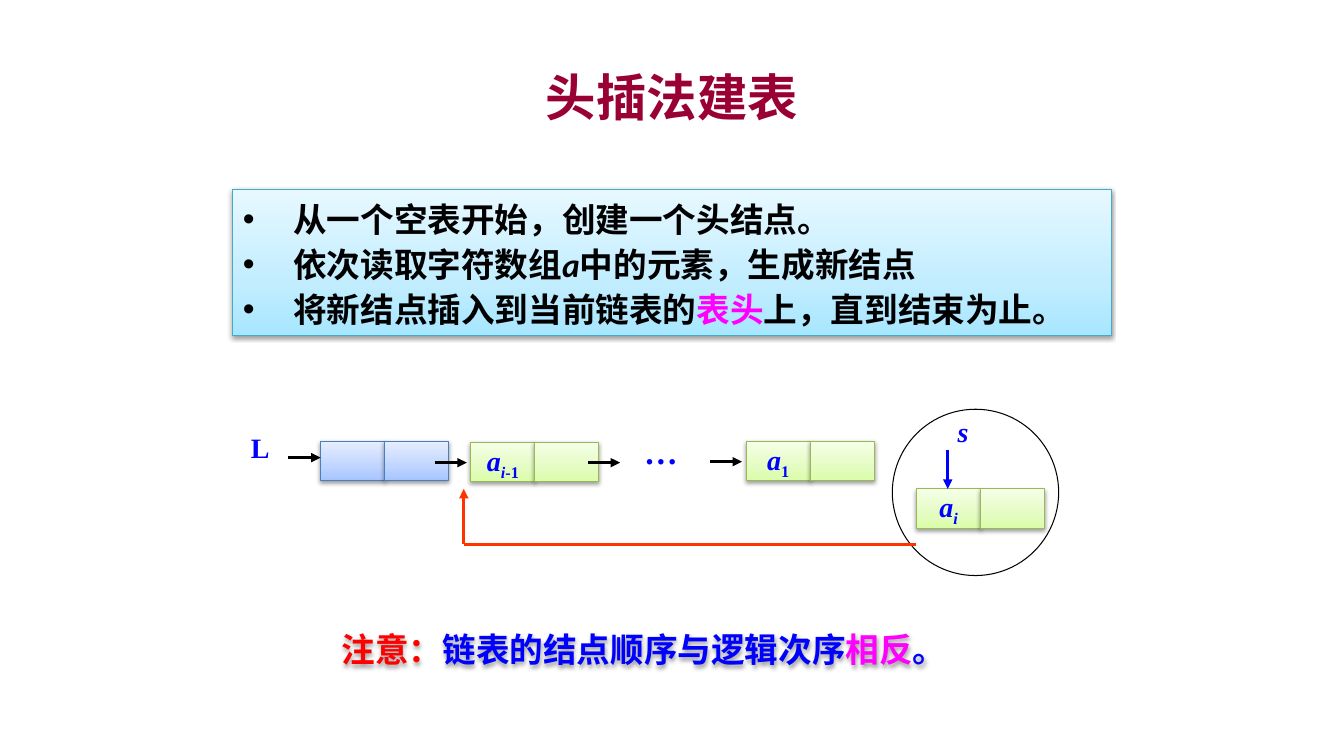
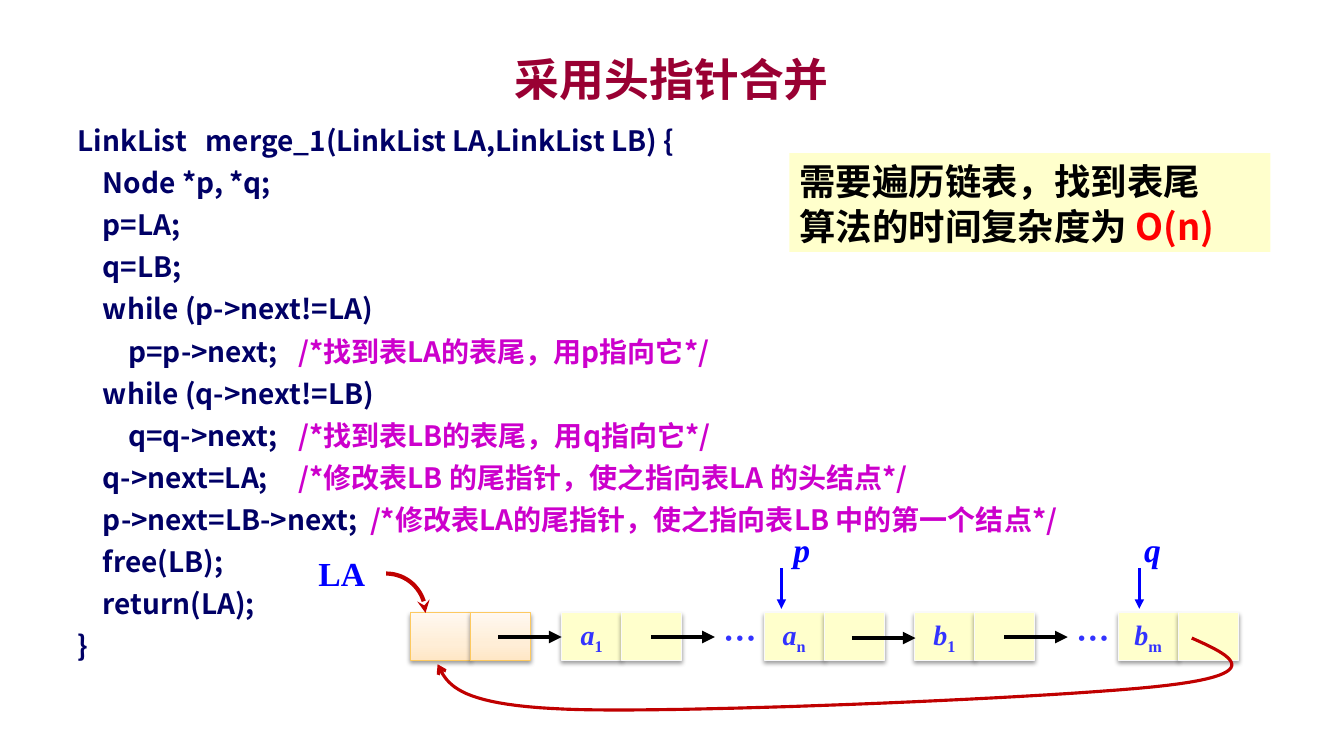
"""Two slides on linked lists: head insertion and merging by head pointers."""
from copy import deepcopy

from lxml.etree import SubElement
from pptx import Presentation
from pptx.dml.color import RGBColor
from pptx.enum.shapes import MSO_CONNECTOR, MSO_SHAPE
from pptx.enum.text import MSO_ANCHOR, MSO_AUTO_SIZE, PP_ALIGN
from pptx.oxml.ns import qn
from pptx.util import Inches, Pt

CJK, SERIF, SANS = "Noto Sans CJK SC", "Times New Roman", "Calibri"
COLORS = {
    "title": "990033", "black": "000000", "blue": "0000FF", "label": "3333FF",
    "pink": "FF00FF", "red": "FF0000", "code": "000066", "comment": "CC00CC",
    "insert": "FF3300", "curve": "C00000", "cream": "FFFFCC", "edge": "F9F9F9",
}
GRADIENTS = {
    "aqua": ("A7E6FF", "C1EDFF", "E7F8FF", "46AAC5"),
    "blue": ("A4C4FF", "BFD4FF", "E6EEFF", "4B7EBC"),
    "green": ("DAFDA7", "E4FCC2", "F5FFE7", "98B955"),
    "orange": ("FFE7C6", "FFEED7", "FFF8F0", "FDC960"),
}
SUB, ITALIC = {"sub": True, "italic": False}, {"italic": True}

STEPS = [
    [("从一个空表开始，创建一个头结点。", {})],
    [("依次读取字符数组", {}), ("a", ITALIC), ("中的元素，生成新结点", {})],
    [("将新结点插入到当前链表的", {}), ("表头", {"color": "pink"}), ("上，直到结束为止。", {})],
]
NOTE = [[("注意：", {"color": "red"}), ("链表的结点顺序与逻辑次序", {}),
         ("相反", {"color": "pink"}), ("。", {})]]
INSERT_NODES = [
    (3.18, 4.38, "blue", []),
    (4.67, 4.39, "green", [("a", {}), ("i", {"sub": True}), ("-1", SUB)]),
    (7.4, 4.38, "green", [("a", {}), ("1", SUB)]),
    (9.09, 4.85, "green", [("a", {}), ("i", {"sub": True})]),
]
INSERT_ARROWS = [(2.86, 4.54), (4.31, 4.59), (5.83, 4.59), (7.04, 4.58)]

CODE = [
    ("LinkList   merge_1(LinkList LA,LinkList LB) {", ""),
    ("    Node *p, *q;", ""),
    ("    p=LA;", ""),
    ("    q=LB;", ""),
    ("    while (p->next!=LA)", ""),
    ("        p=p->next;\t   ", "/*找到表LA的表尾，用p指向它*/"),
    ("    while (q->next!=LB)", ""),
    ("        q=q->next;\t   ", "/*找到表LB的表尾，用q指向它*/"),
    ("    q->next=LA;\t   ", "/*修改表LB 的尾指针，使之指向表LA 的头结点*/"),
    ("    p->next=LB->next;  ", "/*修改表LA的尾指针，使之指向表LB 中的第一个结点*/"),
    ("    free(LB);", ""),
    ("    return(LA);", ""),
    ("}", ""),
]
COST = [[("需要遍历链表，找到表尾", {})],
        [("算法的时间复杂度为 ", {}), ("O(n)", {"color": "red"})]]
MERGE_NODES = [(4.07, ""), (5.57, "a1"), (7.58, "an"), (9.07, "b1"), (11.09, "bm")]
MERGE_ARROWS = [(4.94, 6.32), (6.46, 6.32), (8.45, 6.33), (9.96, 6.32)]
MERGE_POINTERS = [("p", 7.75, 7.77), ("q", 11.3, 11.25)]
RETURN_CURVE = [
    ((11.82, 6.33), (12.2, 6.5), (12.58, 6.68), (11.57, 6.8)),
    ((11.57, 6.8), (10.56, 6.92), (6.96, 7.07), (5.75, 7.04)),
    ((5.75, 7.04), (4.54, 7.01), (4.44, 6.8), (4.34, 6.59)),
]
HEAD_CURVE = [((3.83, 5.69), (4.05, 5.69), (4.22, 5.87), (4.22, 6.08))]


def rgb(name):
    return RGBColor.from_string(COLORS.get(name, name))


def write(shape, paragraphs, size, color, font=SERIF, italic=None, align=PP_ALIGN.LEFT,
          spacing=None, before=0, bullet=False):
    """Fill a shape with paragraphs of (text, overrides) runs."""
    frame = shape.text_frame
    frame.auto_size = MSO_AUTO_SIZE.NONE
    for index, runs in enumerate(paragraphs):
        paragraph = frame.add_paragraph() if index else frame.paragraphs[0]
        paragraph.alignment = align
        if bullet:
            props = paragraph._p.get_or_add_pPr()
            props.set("marL", str(Inches(0.5)))
            props.set("indent", str(-Inches(0.5)))
            SubElement(props, qn("a:buFont"), typeface="Arial")
            SubElement(props, qn("a:buChar"), char="•")
        if spacing:
            paragraph.line_spacing = Pt(spacing)
        if index and before:
            paragraph.space_before = Pt(before)
        base = paragraph.font
        base.size, base.name, base.bold, base.italic = Pt(size), font, True, italic
        base.color.rgb = rgb(color)
        SubElement(paragraph._p.pPr.find(qn("a:defRPr")), qn("a:ea"),
                   typeface=CJK if font == SANS else font)
        for text, style in runs:
            run = paragraph.add_run()
            run.text = text
            if "color" in style:
                run.font.color.rgb = rgb(style["color"])
            if "italic" in style:
                run.font.italic = style["italic"]
            if "sub" in style:
                run._r.get_or_add_rPr().set("baseline", "-25000")


def add_text(slide, box, paragraphs, size, color, **style):
    text = slide.shapes.add_textbox(*map(Inches, box))
    text.text_frame.word_wrap = True
    write(text, paragraphs, size, color, **style)
    return text


def add_title(slide, title, box, size):
    heading = slide.shapes.title
    heading.left, heading.top, heading.width, heading.height = map(Inches, box)
    heading.text_frame.vertical_anchor = MSO_ANCHOR.MIDDLE
    write(heading, [[(title, {})]], size, "title", font=CJK, align=PP_ALIGN.CENTER)


def cast_shadow(shape):
    shape.shadow.inherit = False
    effects = shape._element.spPr.find(qn("a:effectLst"))
    shadow = SubElement(effects, qn("a:outerShdw"), blurRad="40000", dist="20000",
                        dir="5400000", rotWithShape="0")
    shade = SubElement(shadow, qn("a:srgbClr"), val=COLORS["black"])
    SubElement(shade, qn("a:alpha"), val="38000")


def add_panel(slide, box, theme):
    """Add a shadowed rectangle with a gradient or cream fill."""
    panel = slide.shapes.add_shape(MSO_SHAPE.RECTANGLE, *map(Inches, box))
    if theme in GRADIENTS:
        *tints, edge = GRADIENTS[theme]
        panel.fill.gradient()
        panel.fill.gradient_angle = 90
        stops = panel._element.spPr.find(".//" + qn("a:gsLst"))
        stops.append(deepcopy(stops[-1]))
        for stop, tint, position in zip(panel.fill.gradient_stops, tints, (0, 0.35, 1)):
            stop.color.rgb, stop.position = rgb(tint), position
    else:
        edge = "edge"
        panel.fill.solid()
        panel.fill.fore_color.rgb = rgb(theme)
    panel.line.color.rgb = rgb(edge)
    panel.line.width = Pt(0.75)
    cast_shadow(panel)
    return panel


def add_node(slide, left, top, width, height, theme, label, color):
    """Add a list node: a value cell and a pointer cell."""
    value, _ = [add_panel(slide, (left + i * width, top, width, height), theme) for i in (0, 1)]
    if label:
        value.text_frame.word_wrap = False
        value.text_frame.vertical_anchor = MSO_ANCHOR.MIDDLE
        write(value, [label], 20, color, italic=True, align=PP_ALIGN.CENTER)


def style_line(shape, color, width, head):
    shape.line.color.rgb = rgb(color)
    shape.line.width = Pt(width)
    props = shape._element.spPr
    if head:
        SubElement(props.find(qn("a:ln")), qn("a:tailEnd"), type=head)
    SubElement(props, qn("a:effectLst"))


def add_line(slide, start, end, color, width, head="triangle"):
    line = slide.shapes.add_connector(MSO_CONNECTOR.STRAIGHT, *map(Inches, start + end))
    style_line(line, color, width, head)


def add_curve(slide, beziers, width, head, steps=24):
    """Draw joined cubic Bezier curves as one open outline."""
    points = []
    for a, b, c, d in beziers:
        for t in (i / steps for i in range(1, steps + 1)):
            u = 1 - t
            points.append(tuple(
                Inches(u**3 * a[k] + 3 * u * u * t * b[k] + 3 * u * t * t * c[k] + t**3 * d[k])
                for k in (0, 1)))
    builder = slide.shapes.build_freeform(*map(Inches, beziers[0][0]))
    builder.add_line_segments(points, close=False)
    curve = builder.convert_to_shape()
    curve.fill.background()
    style_line(curve, "curve", width, head)


def build_insertion(slide):
    add_title(slide, "头插法建表", (1, 0.58, 11.33, 0.75), 36)
    steps = add_panel(slide, (2.31, 1.88, 8.71, 1.45), "aqua")
    steps.text_frame.vertical_anchor = MSO_ANCHOR.TOP
    write(steps, STEPS, 24, "black", font=SANS, spacing=32, bullet=True)

    circle = slide.shapes.add_shape(MSO_SHAPE.OVAL, *map(Inches, (8.85, 4.06, 1.65, 1.65)))
    circle.shadow.inherit = False
    circle.fill.background()
    circle.line.color.rgb = rgb("black")
    circle.line.width = Pt(0.75)

    for left, top, theme, label in INSERT_NODES:
        add_node(slide, left, top, 0.635, 0.39, theme, label, "blue")
    for x, y in INSERT_ARROWS:
        add_line(slide, (x, y), (x + 0.32, y), "black", 2.25)
    add_text(slide, (2.39, 4.22, 0.55, 0.43), [[("L", {})]], 20, "blue")
    add_text(slide, (6.29, 4.23, 0.55, 0.5), [[("…", {})]], 24, "blue")
    add_text(slide, (9.4, 4.06, 0.63, 0.43), [[("s", {})]], 20, "blue", italic=True)
    add_line(slide, (9.4, 4.46), (9.4, 4.85), "blue", 2.25)
    add_line(slide, (4.6, 5.4), (4.6, 4.85), "insert", 2.25)
    add_line(slide, (4.6, 5.4), (9.09, 5.4), "insert", 2.25, head=None)
    note = add_text(slide, (3.29, 6.19, 6.77, 0.5), NOTE, 24, "blue", font=CJK, spacing=29)
    cast_shadow(note)


def build_merge(slide):
    code = [[(line, {})] + ([(comment, {"color": "comment"})] if comment else [])
            for line, comment in CODE]
    add_text(slide, (0.67, 1.18, 12.47, 5.83), code, 20, "code", font=CJK, spacing=24, before=6)
    add_title(slide, "采用头指针合并", (1, 0.5, 11.33, 0.55), 32)

    for left, name in MERGE_NODES:
        label = [(name[0], {}), (name[1], SUB)] if name else []
        add_node(slide, left, 6.08, 0.595, 0.47, "cream" if name else "orange", label, "label")
    for left in (7.03, 10.53):
        add_text(slide, (left, 6.08, 0.63, 0.5), [[("…", {})]], 24, "label", font=CJK,
                 align=PP_ALIGN.CENTER, spacing=29)
    for x, y in MERGE_ARROWS:
        add_line(slide, (x, y), (x + 0.63, y), "black", 3)
    add_curve(slide, RETURN_CURVE, 2.25, "arrow")
    add_curve(slide, HEAD_CURVE, 3, "stealth")
    add_text(slide, (3.06, 5.44, 0.77, 0.5), [[("LA", {})]], 24, "blue")
    for name, x, left in MERGE_POINTERS:
        add_line(slide, (x, 5.64), (x, 6.04), "blue", 2.25)
        add_text(slide, (left, 5.2, 0.63, 0.5), [[(name, {})]], 24, "blue", italic=True)

    cost = add_text(slide, (7.83, 1.52, 4.77, 0.98), COST, 26, "black", font=CJK, spacing=32)
    cost.fill.solid()
    cost.fill.fore_color.rgb = rgb("cream")


def main():
    deck = Presentation()
    deck.slide_width, deck.slide_height = Inches(13.33), Inches(7.5)
    for build in (build_insertion, build_merge):
        build(deck.slides.add_slide(deck.slide_layouts[5]))
    deck.save("out.pptx")


if __name__ == "__main__":
    main()
